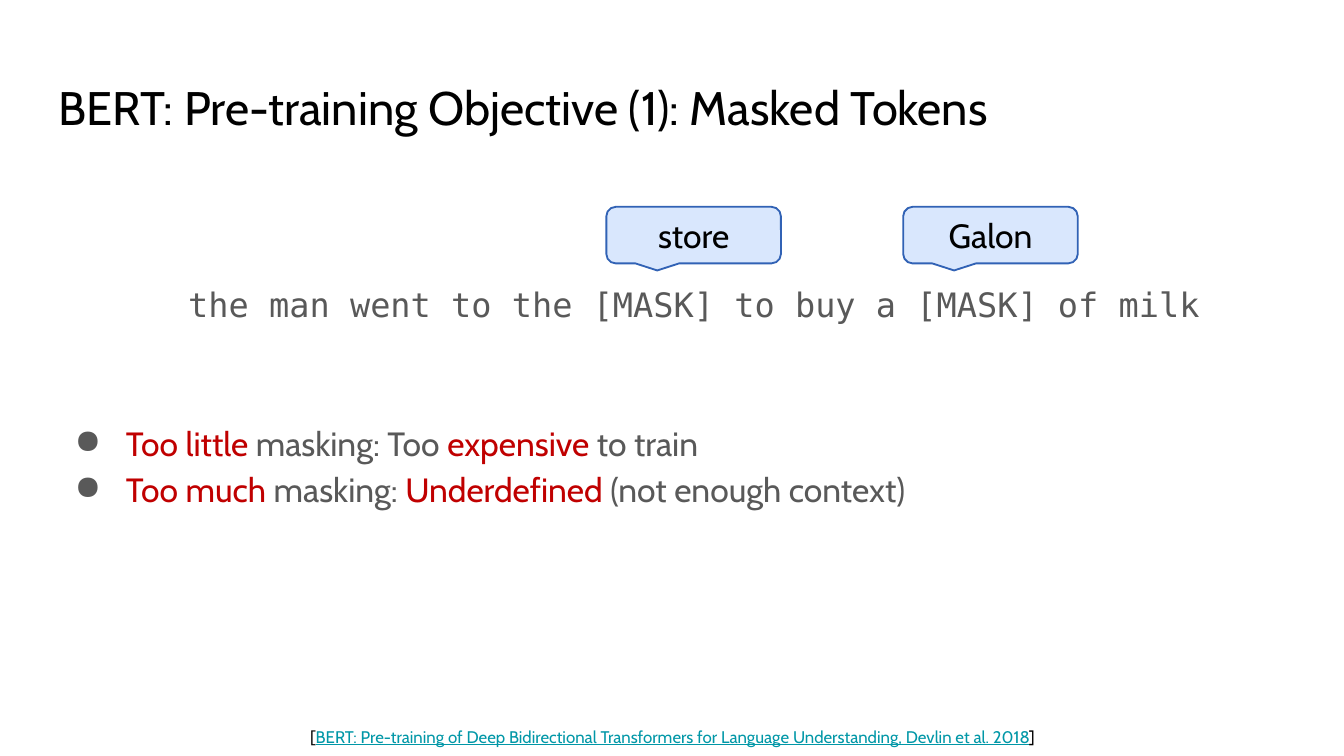
import pptx
import pptx.dml.color
import pptx.enum.shapes
import pptx.enum.text
import pptx.util
from lxml import etree
from pptx.util import Cm, Pt

COLORS = {
    "black": "000000", "gray": "595959", "red": "C00000", "teal": "0097A7",
    "callout": "D9E7FD", "outline": "3162B5",
}
TEXT_FONT = "Cabin"
CODE_FONT = "DejaVu Sans Mono"
CENTER = pptx.enum.text.PP_ALIGN.CENTER

# Content: each line of text is a list of (words, color)
TITLE = [("BERT: Pre-training Objective (1): Masked Tokens", "black")]
SENTENCE = [("the man went to the [MASK] to buy a [MASK] of milk", "gray")]
BULLETS = [
    [("Too little", "red"), (" masking: Too ", "gray"),
     ("expensive ", "red"), ("to train", "gray")],
    [("Too much", "red"), (" masking: ", "gray"),
     ("Underdefined", "red"), (" (not enough context)", "gray")],
]
CALLOUTS = [("Galon", 17.07), ("store", 11.46)]  # word, left edge in cm
CITATION = [
    ("[", "black"),
    ("BERT: Pre-training of Deep Bidirectional Transformers for Language "
     "Understanding, Devlin et al. 2018", "teal"),
    ("]", "black"),
]


def rgb(name):
    return pptx.dml.color.RGBColor.from_string(COLORS[name])


def write(para, spans, size, font=TEXT_FONT, align=None):
    para.alignment = align
    para.font.size = Pt(size)
    para.font.name = font
    for words, color in spans:
        span = para.add_run()
        span.text = words
        span.font.color.rgb = rgb(color)
        if color == "teal":
            span.font.underline = True


def add_box(page, left, top, width, height):
    frame = page.shapes.add_textbox(Cm(left), Cm(top), Cm(width), Cm(height)).text_frame
    frame.word_wrap = True
    frame.margin_left = frame.margin_right = Cm(0.25)
    frame.margin_top = frame.margin_bottom = Cm(0.25)
    return frame


def add_bullet(para):
    props = para._p.get_or_add_pPr()
    props.set("marL", str(Cm(1.27)))
    props.set("indent", str(-Cm(0.97)))
    color = etree.SubElement(props, pptx.oxml.ns.qn("a:buClr"))
    etree.SubElement(color, pptx.oxml.ns.qn("a:srgbClr"), val=COLORS["gray"])
    etree.SubElement(props, pptx.oxml.ns.qn("a:buChar"), char="●")


deck = pptx.Presentation()
deck.slide_width, deck.slide_height = Cm(25.4), Cm(14.29)
page = deck.slides.add_slide(deck.slide_layouts[6])

# Title
write(add_box(page, 0.86, 1.24, 23.67, 1.6).paragraphs[0], TITLE, 25.2)

# Masked sentence, then the bullets
body = add_box(page, 0.86, 3.2, 24.21, 9.5)
body.margin_top = Cm(2.06)
para = body.paragraphs[0]
para.line_spacing = 1.15
para._p.get_or_add_pPr().set("marL", str(Cm(0.3)))
write(para, SENTENCE, 18, CODE_FONT, CENTER)
for index, spans in enumerate(BULLETS):
    para = body.add_paragraph()
    para.line_spacing = 1.15
    para.space_before = Pt(0 if index else 49.5)
    add_bullet(para)
    write(para, spans, 18)

# Callouts over the masked words
for word, left in CALLOUTS:
    callout = page.shapes.add_shape(
        pptx.enum.shapes.MSO_SHAPE.ROUNDED_RECTANGULAR_CALLOUT,
        Cm(left), Cm(3.91), Cm(3.3), Cm(1.07))
    callout.shadow.inherit = False
    callout.fill.solid()
    callout.fill.fore_color.rgb = rgb("callout")
    callout.line.color.rgb = rgb("outline")
    callout.line.width = Pt(1)
    callout.text_frame.vertical_anchor = pptx.enum.text.MSO_ANCHOR.MIDDLE
    write(callout.text_frame.paragraphs[0], [(word, "black")], 18, align=CENTER)

# Citation
write(add_box(page, 1.32, 13.54, 22.78, 0.89).paragraphs[0], CITATION, 9, align=CENTER)

deck.save("out.pptx")
